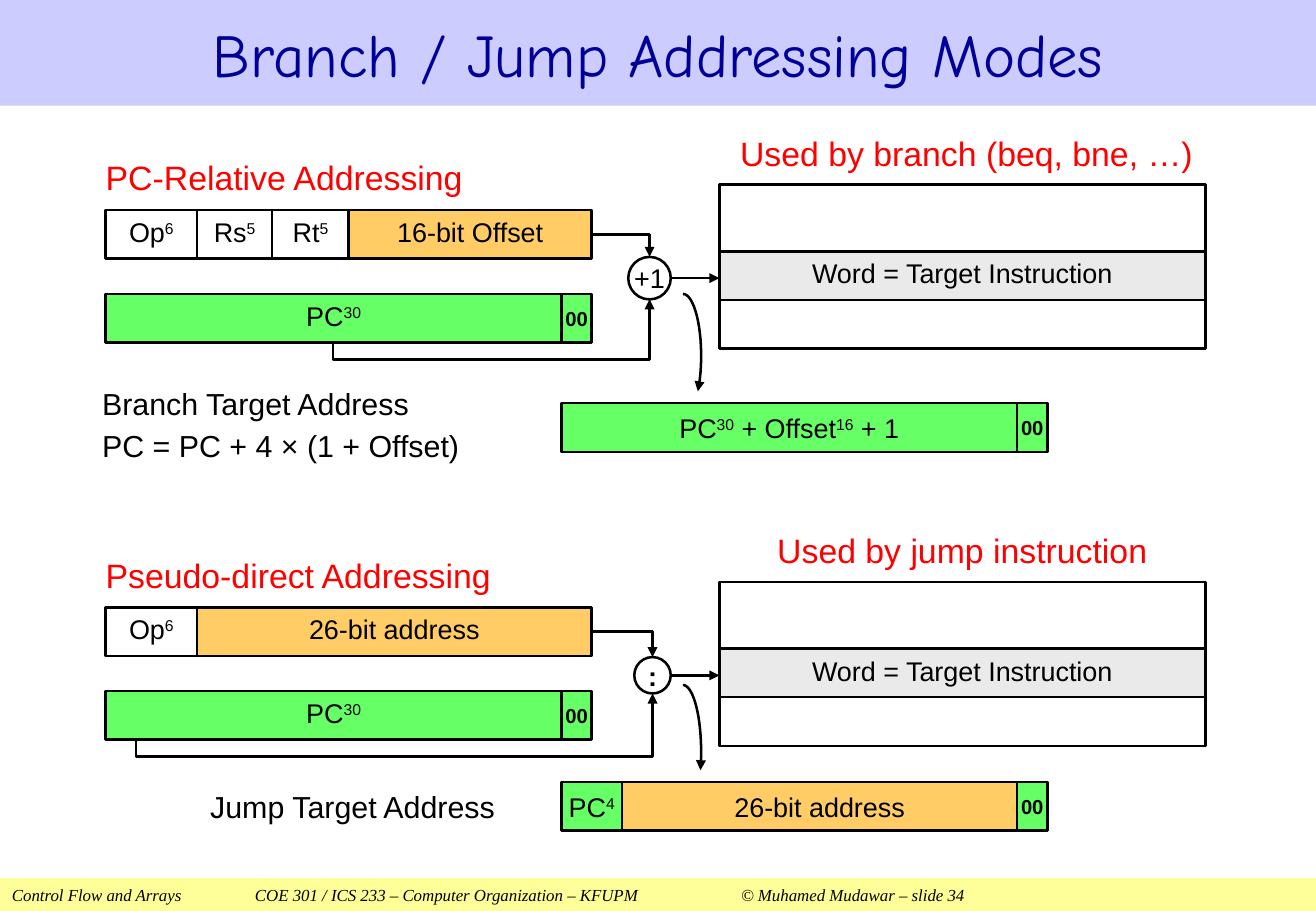
from math import cos, radians, sin

from lxml.etree import SubElement
from pptx import Presentation
from pptx.dml.color import RGBColor
from pptx.enum.shapes import MSO_CONNECTOR as Link, MSO_SHAPE as Shape
from pptx.enum.text import MSO_ANCHOR as Anchor, MSO_AUTO_SIZE as Auto, PP_ALIGN as Align
from pptx.oxml.ns import qn
from pptx.util import Inches, Pt

HUES = {
    "black": "000000", "white": "FFFFFF", "red": "FF0000", "navy": "000099",
    "lilac": "CCCCFF", "cream": "FFFF99", "green": "66FF66",
    "gold": "FFCC66", "gray": "EAEAEA",
}
ZEROS = (0.25, "00", "green", {"size": 12, "bold": True})
TIGHT = {"lead": 0.85}


def hue(name):
    """Return the colour of a name."""
    return RGBColor.from_string(HUES[name])


def write(frame, text, size=16, color="black", font="Arial", bold=False,
          italic=False, align=Align.CENTER, lead=None, gap=0, pad=0, wrap=True, tabs=()):
    """Fill a frame with lines of text, raising what stands between carets."""
    frame.auto_size = Auto.NONE
    frame.word_wrap = wrap
    frame.vertical_anchor = Anchor.MIDDLE
    frame.margin_left = frame.margin_right = Inches(pad)
    frame.margin_top = frame.margin_bottom = 0
    for row, line in enumerate(text.split("\n")):
        para = frame.add_paragraph() if row else frame.paragraphs[0]
        para.alignment = align
        para.space_before = Pt(gap if row else 0)
        if lead:
            para.line_spacing = lead
        if tabs:
            stops = SubElement(para._p.get_or_add_pPr(), qn("a:tabLst"))
            for stop in tabs:
                SubElement(stops, qn("a:tab"), pos=str(Inches(stop)), algn="l")
        for part, words in enumerate(line.split("^")):
            if not words:
                continue
            run = para.add_run()
            run.text = words
            face = run.font
            face.name, face.size, face.bold, face.italic = font, Pt(size), bold, italic
            face.color.rgb = hue(color)
            if part % 2:
                run._r.get_or_add_rPr().set("baseline", "30000")


class Deck:
    """Hold the line style and the current slide."""

    def __init__(self, wide, high):
        """Start a deck with one title-only slide."""
        self.file = Presentation()
        self.file.slide_width, self.file.slide_height = Inches(wide), Inches(high)
        self.slide = self.file.slides.add_slide(self.file.slide_layouts[5])
        self.shapes = self.slide.shapes
        self.pen = 1.5

    def title(self, text, box, fill, **form):
        """Move, fill and write the title."""
        head = self.shapes.title
        head.left, head.top, head.width, head.height = map(Inches, box)
        head.fill.solid()
        head.fill.fore_color.rgb = hue(fill)
        write(head.text_frame, text, **form)

    def label(self, text, box, **form):
        """Add plain text."""
        write(self.shapes.add_textbox(*map(Inches, box)).text_frame, text, **form)

    def box(self, box, fill=None, text="", kind=Shape.RECTANGLE, edge=True, **form):
        """Add a preset shape with optional text."""
        item = self.shapes.add_shape(kind, *map(Inches, box))
        item.shadow.inherit = False
        if fill:
            item.fill.solid()
            item.fill.fore_color.rgb = hue(fill)
        else:
            item.fill.background()
        if edge:
            self.ink(item.line)
        else:
            item.line.fill.background()
        if text:
            write(item.text_frame, text, **form)

    def ink(self, line):
        """Apply the pen to a line."""
        line.color.rgb = hue("black")
        line.width = Pt(self.pen)

    def tip(self, item):
        """Ink a line and put an arrowhead at its end."""
        self.ink(item.line)
        SubElement(item.line._get_or_add_ln(), qn("a:tailEnd"), type="triangle")

    def arrow(self, start, end, kind=Link.STRAIGHT):
        """Add an arrow and return its shape properties."""
        item = self.shapes.add_connector(kind, *map(Inches, (*start, *end)))
        self.tip(item)
        props = item._element.spPr
        SubElement(props, qn("a:effectLst"))
        return props

    def bend(self, start, end):
        """Add an arrow that goes right, then down."""
        props = self.arrow(start, end, Link.ELBOW)
        props.find(qn("a:prstGeom")).set("prst", "bentConnector2")

    def loop(self, start, end, dip):
        """Add an arrow that goes down by a dip, right, then up."""
        wide, rise = end[0] - start[0], start[1] - end[1]
        mid, level = (start[0] + end[0]) / 2, (start[1] + end[1]) / 2
        props = self.arrow((mid + rise / 2, level + wide / 2),
                           (mid - rise / 2, level - wide / 2), Link.ELBOW)
        props.find(qn("a:xfrm")).set("rot", "5400000")
        guides = props.find(qn("a:prstGeom")).get_or_add_avLst()
        SubElement(guides, qn("a:gd"), name="adj1", fmla=f"val {round(-dip / rise * 100000)}")

    def curve(self, left, top, wide, high, sweep):
        """Add an arrow along part of an ellipse."""
        turns = [radians(sweep * step / 20) for step in range(21)]
        dots = [(Inches(left + wide * sin(turn)), Inches(top + high * (1 - cos(turn))))
                for turn in turns]
        pen = self.shapes.build_freeform(*dots[0], scale=1.0)
        pen.add_line_segments(dots[1:], close=False)
        item = pen.convert_to_shape()
        item.shadow.inherit = False
        item.fill.background()
        self.tip(item)

    def strip(self, left, top, cells):
        """Add a row of touching cells."""
        for wide, text, fill, form in cells:
            self.box((left, top, wide, 0.4), fill, text, **form)
            left += wide

    def mode(self, top, name, use, span, cells, sign, size, tap):
        """Add one addressing mode with its fields, operator and memory."""
        mid, hub = top + 0.77, 5.52 - size / 2
        self.label(name, (0.87, top - 0.29, 4, 0.46), size=20, color="red", align=Align.LEFT)
        self.label(use, (5.92, top - 0.48, span, 0.44), size=20, color="red")
        self.box((5.92, top + 0.55, 4, 0.4), "gray", "Word = Target Instruction", **TIGHT)
        self.box((5.92, top, 4, 1.35))
        self.strip(0.87, top + 0.21, cells)
        self.strip(0.87, top + 0.9, [(3.75, "PC^30", "green", TIGHT), ZEROS])
        self.loop((tap, top + 1.3), (hub, mid + size / 2), 0.14)
        self.bend((4.87, top + 0.41), (hub, mid - size / 2))
        self.arrow((5.52, mid), (5.92, mid))
        self.box((5.52 - size, mid - size / 2, size, size), "white", sign,
                 Shape.OVAL, wrap=False, bold=sign == ":")


def main():
    """Build the slide."""
    deck = Deck(10.83, 7.5)
    deck.title("Branch / Jump Addressing Modes", (0, 0, 10.83, 0.87), "lilac",
               size=36, color="navy", font="Comic Neue")
    deck.box((0, 7.23, 10.83, 0.27), "cream",
             "Control Flow and Arrays\tCOE 301 / ICS 233 – Computer Organization – KFUPM"
             "\t© Muhamed Mudawar – slide 34", edge=False, size=10, font="Times New Roman",
             italic=True, align=Align.LEFT, pad=0.1, tabs=(2, 6))

    code = (0.75, "Op^6", "white", TIGHT)
    deck.mode(1.52, "PC-Relative Addressing", "Used by branch (beq, bne, …)", 4.07,
              [code, (0.62, "Rs^5", "white", TIGHT), (0.63, "Rt^5", "white", TIGHT),
               (2, "16-bit Offset", "gold", TIGHT)], "+1", 0.35, 2.74)
    deck.label("Branch Target Address\nPC = PC + 4 × (1 + Offset)", (0.84, 3.22, 3.72, 0.55),
               size=18, align=Align.LEFT, gap=3)
    deck.strip(4.62, 3.32, [(3.75, "PC^30^ + Offset^16^ + 1", "green", {}), ZEROS])
    deck.curve(5.62, 2.42, 0.15, 0.51, 125)

    deck.mode(4.79, "Pseudo-direct Addressing", "Used by jump instruction", 4,
              [code, (3.25, "26-bit address", "gold", TIGHT)], ":", 0.3, 1.12)
    deck.label("Jump Target Address", (1.73, 6.44, 2.83, 0.4), size=18, align=Align.LEFT)
    deck.strip(4.62, 6.44, [(0.5, "PC^4", "green", {}),
                            (3.25, "26-bit address", "gold", {}), ZEROS])
    deck.curve(5.62, 5.64, 0.15, 0.55, 106)
    deck.file.save("out.pptx")


if __name__ == "__main__":
    main()
